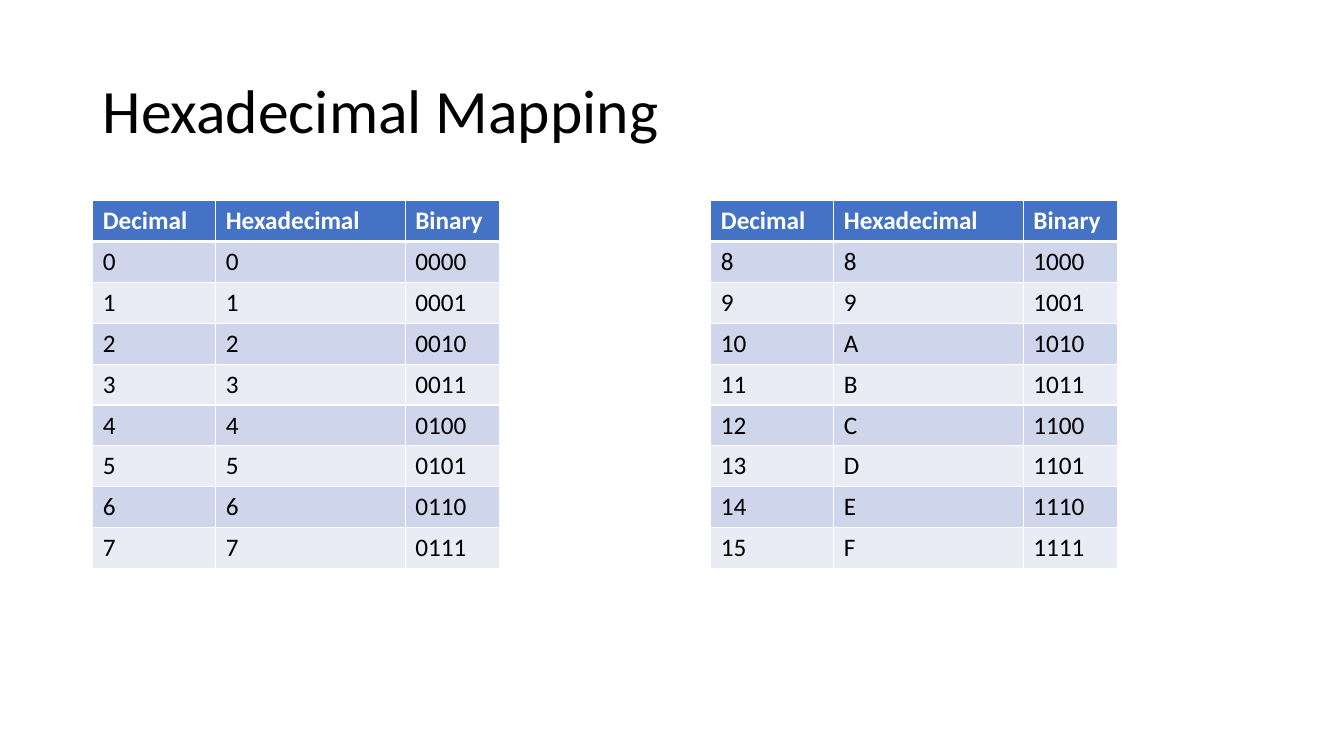
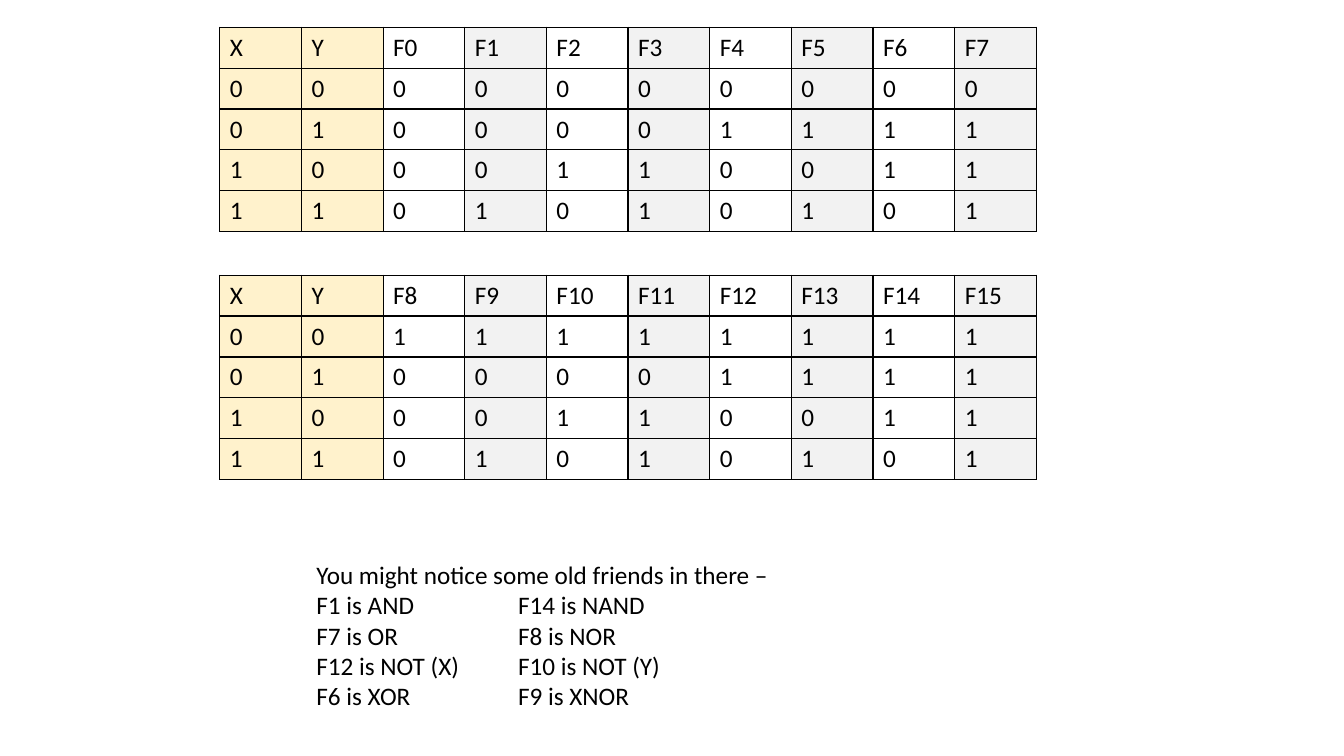
from lxml import etree
from pptx import Presentation
from pptx.dml.color import RGBColor
from pptx.enum.text import MSO_ANCHOR
from pptx.oxml.ns import qn
from pptx.util import Inches, Pt

MIDDLE = MSO_ANCHOR.MIDDLE
FONT, BODY, HEAD = "Calibri", 18, 44
BLACK, WHITE, BLUE = "000000", "FFFFFF", "4472C4"
BANDS = "CFD5EA", "E9EBF5"
CREAM, GRAY = "FFF2CC", "F2F2F2"
WIDE, HIGH = Inches(13.33), Inches(7.5)
ROW = Pt(29.2)
EDGE = Inches(0.92)
TAB = Inches(2)


def paint(code):
    return RGBColor.from_string(code)


def write(para, text, size=BODY, color=BLACK, bold=False):
    run = para.add_run()
    run.text = text
    font = run.font
    font.name, font.size, font.bold = FONT, Pt(size), bold
    font.color.rgb = paint(color)


def add_box(slide, left, top, width, height, wrap=True):
    box = slide.shapes.add_textbox(left, top, width, height)
    box.text_frame.word_wrap = wrap
    return box.text_frame


def add_title(slide, text):
    frame = add_box(slide, EDGE, Inches(0.4), WIDE - 2 * EDGE, Inches(1.45))
    frame.vertical_anchor = MIDDLE
    para = frame.paragraphs[0]
    para.line_spacing = 0.9
    write(para, text, HEAD)


def add_tab(para, place):
    """Give a paragraph one left tab stop."""
    stops = etree.SubElement(para._p.get_or_add_pPr(), qn("a:tabLst"))
    etree.SubElement(stops, qn("a:tab"), pos=str(place), algn="l")


def rule_cell(cell, color, top=1, bottom=1):
    """Draw the four borders of a cell, with weights in points."""
    props = cell._tc.get_or_add_tcPr()
    for side, weight in zip("LRTB", (1, 1, top, bottom)):
        line = etree.SubElement(props, qn(f"a:ln{side}"), w=str(Pt(weight)))
        fill = etree.SubElement(line, qn("a:solidFill"))
        etree.SubElement(fill, qn("a:srgbClr"), val=color)


def add_grid(slide, left, top, widths, rows, style):
    """Add a table; style(cell, row, col) sets its look and returns text options."""
    shape = slide.shapes.add_table(
        len(rows), len(widths), left, top, sum(widths), ROW * len(rows))
    table = shape.table
    table.first_row = table.horz_banding = False
    for col, width in zip(table.columns, widths):
        col.width = width
    for i, row in enumerate(rows):
        table.rows[i].height = ROW
        for j, text in enumerate(row):
            cell = table.cell(i, j)
            look = style(cell, i, j)
            write(cell.text_frame.paragraphs[0], text, **look)


def fill_cell(cell, color):
    cell.fill.solid()
    cell.fill.fore_color.rgb = paint(color)


def style_map(cell, i, j):
    """Blue header over banded rows, with a thick rule between."""
    rule_cell(cell, WHITE, top=3 if i == 1 else 1, bottom=1 if i else 3)
    fill_cell(cell, BANDS[(i - 1) % 2] if i else BLUE)
    return {} if i else {"color": WHITE, "bold": True}


def style_truth(cell, i, j):
    """Cream inputs, then plain and gray columns by turns."""
    rule_cell(cell, BLACK)
    if j < 2:
        fill_cell(cell, CREAM)
    elif j % 2:
        fill_cell(cell, GRAY)
    else:
        cell.fill.background()
    return {}


def map_rows(start):
    head = [("Decimal", "Hexadecimal", "Binary")]
    return head + [(f"{n}", f"{n:X}", f"{n:04b}") for n in range(start, start + 8)]


def truth_rows(start):
    """List eight functions; the bits of each number are its outputs."""
    funcs = range(start, start + 8)
    rows = [["X", "Y"] + [f"F{n}" for n in funcs]]
    for i in range(4):
        rows.append(list(f"{i:02b}") + [f"{n:04b}"[i] for n in funcs])
    return rows


def add_map(slide):
    add_title(slide, "Hexadecimal Mapping")
    widths = [Inches(w) for w in (1.22, 1.88, 0.94)]
    for start, left in ((0, EDGE), (8, Inches(7.05))):
        add_grid(slide, left, Inches(1.99), widths, map_rows(start), style_map)


def add_truth(slide):
    widths = [Inches(0.81)] * 10
    for start, top in ((0, 0.27), (8, 2.73)):
        add_grid(slide, Inches(2.18), Inches(top), widths,
                 truth_rows(start), style_truth)
    frame = add_box(slide, Inches(3.04), Inches(5.5),
                    Inches(4.8), Inches(1.62), wrap=False)
    write(frame.paragraphs[0], "You might notice some old friends in there –")
    pairs = (("F1 is AND", "F14 is NAND"), ("F7 is OR", "F8 is NOR"),
             ("F12 is NOT (X)", "F10 is NOT (Y)"), ("F6 is XOR", "F9 is XNOR"))
    for pair in pairs:
        para = frame.add_paragraph()
        add_tab(para, TAB)
        write(para, "\t".join(pair))


def main():
    deck = Presentation()
    deck.slide_width, deck.slide_height = WIDE, HIGH
    for build in (add_map, add_truth):
        build(deck.slides.add_slide(deck.slide_layouts[6]))
    deck.save("out.pptx")


if __name__ == "__main__":
    main()
